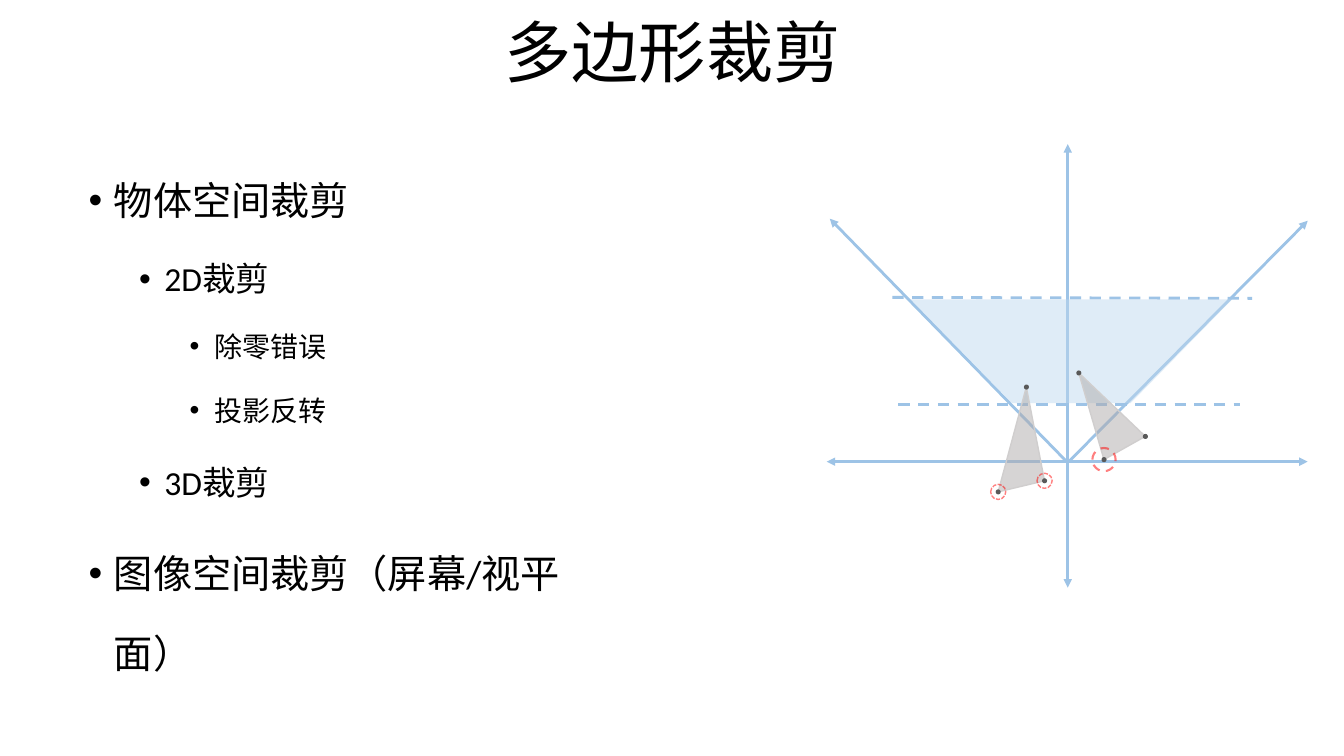
from dataclasses import dataclass

from lxml import etree
from pptx import Presentation
from pptx.dml.color import RGBColor
from pptx.enum.dml import MSO_LINE
from pptx.enum.shapes import MSO_CONNECTOR, MSO_SHAPE
from pptx.enum.text import MSO_ANCHOR, MSO_AUTO_SIZE, PP_ALIGN
from pptx.oxml.ns import qn
from pptx.util import Inches, Pt


@dataclass(frozen=True)
class Theme:
    font: str = "Calibri"
    text: str = "000000"
    axis: str = "9DC3E6"
    frustum: str = "BDD7EE"
    triangle: str = "AFABAB"
    edge: str = "D0CECE"
    vertex: str = "595959"
    warning: str = "FF0000"
    title_size: int = 48
    list_sizes: tuple = (28, 24, 20)


def add_text(para, text, *, font, size, color):
    span = para.add_run()
    span.text = text
    span.font.name = font
    span.font.size = Pt(size)
    span.font.color.rgb = RGBColor.from_string(color)


def add_child(parent, tag, **attributes):
    return etree.SubElement(parent, qn(tag), attributes)


class ClippingPage:
    def __init__(self, deck, theme):
        self.theme = theme
        self.page = deck.slides.add_slide(deck.slide_layouts[1])

    def place(self, box, left, top, width, height, anchor):
        box.left, box.top = Inches(left), Inches(top)
        box.width, box.height = Inches(width), Inches(height)
        frame = box.text_frame
        frame.word_wrap = True
        frame.auto_size = MSO_AUTO_SIZE.NONE
        frame.vertical_anchor = anchor
        return frame

    def title(self, text, *area):
        para = self.place(self.page.shapes.title, *area, MSO_ANCHOR.BOTTOM).paragraphs[0]
        para.alignment = PP_ALIGN.CENTER
        para.line_spacing = 0.9
        add_text(para, text, font=self.theme.font, size=self.theme.title_size,
                 color=self.theme.text)

    def bullets(self, items, *area):
        frame = self.place(self.page.placeholders[1], *area, MSO_ANCHOR.TOP)
        for index, (level, text) in enumerate(items):
            para = frame.add_paragraph() if index else frame.paragraphs[0]
            para.level = level
            para.line_spacing = 1.7
            para.space_before = Pt(0 if index == 0 else 5 if level else 10)
            props = para._p.get_or_add_pPr()
            props.set("marL", str(Inches(0.25 + 0.5 * level)))
            props.set("indent", str(Inches(-0.25)))
            add_child(props, "a:buFont", typeface="Arial")
            add_child(props, "a:buChar", char="•")
            add_text(para, text, font=self.theme.font,
                     size=self.theme.list_sizes[level], color=self.theme.text)

    def line(self, start, end, *, head=False, tail=False, dash=None):
        link = self.page.shapes.add_connector(
            MSO_CONNECTOR.STRAIGHT, *map(Inches, start + end))
        link.line.color.rgb = RGBColor.from_string(self.theme.axis)
        link.line.width = Pt(2)
        if dash:
            link.line.dash_style = dash
        outline = link.line._get_or_add_ln()
        for tag, wanted in (("a:headEnd", head), ("a:tailEnd", tail)):
            if wanted:
                add_child(outline, tag, type="triangle")
        add_child(link._element.spPr, "a:effectLst")

    def paint(self, shape, *, fill=None, line=None, width=1, dash=None, opacity=100):
        """Opacity applies to the fill, or to the line of an unfilled shape."""
        shape.shadow.inherit = False
        if fill:
            shape.fill.solid()
            shape.fill.fore_color.rgb = RGBColor.from_string(fill)
        else:
            shape.fill.background()
        if line:
            shape.line.color.rgb = RGBColor.from_string(line)
            shape.line.width = Pt(width)
            if dash:
                shape.line.dash_style = dash
        else:
            shape.line.fill.background()
        if opacity < 100:
            color = next(shape._element.spPr.iter(qn("a:srgbClr")))
            add_child(color, "a:alpha", val=str(opacity * 1000))

    def frustum(self, left, top, width, height):
        shape = self.page.shapes.add_shape(
            MSO_SHAPE.TRAPEZOID, *map(Inches, (left, top, width, height)))
        shape.adjustments[0] = 0.978
        shape.rotation = 180
        self.paint(shape, fill=self.theme.frustum, opacity=47)

    def circle(self, center, size, shapes=None, **style):
        shapes = self.page.shapes if shapes is None else shapes
        left, top = (Inches(value - size / 2) for value in center)
        shape = shapes.add_shape(MSO_SHAPE.FLOWCHART_CONNECTOR, left, top,
                                 Inches(size), Inches(size))
        self.paint(shape, **style)

    def triangle(self, corners):
        shapes = self.page.shapes.add_group_shape().shapes
        points = [(Inches(x), Inches(y)) for x, y in corners]
        builder = shapes.build_freeform(*points[0], scale=1.0)
        builder.add_line_segments(points[1:], close=True)
        self.paint(builder.convert_to_shape(), fill=self.theme.triangle,
                   line=self.theme.edge, opacity=50)
        for corner in corners:
            self.circle(corner, 0.05, shapes, fill=self.theme.vertex)

    def ring(self, center, size, width, dash):
        self.circle(center, size, line=self.theme.warning, width=width,
                    dash=dash, opacity=50)


def main():
    deck = Presentation()
    deck.slide_width, deck.slide_height = Inches(13.33), Inches(7.5)
    page = ClippingPage(deck, Theme())

    # Title and list
    page.title("多边形裁剪", 0.92, 0, 11.5, 0.96)
    page.bullets([
        (0, "物体空间裁剪"),
        (1, "2D裁剪"),
        (2, "除零错误"),
        (2, "投影反转"),
        (1, "3D裁剪"),
        (0, "图像空间裁剪（屏幕/视平面）"),
    ], 0.78, 1.37, 5.4, 5.39)

    # Axes and view rays
    page.line((8.2, 4.58), (12.97, 4.58), head=True, tail=True)
    page.line((10.59, 1.43), (10.59, 5.83), head=True, tail=True)
    page.line((12.97, 2.19), (10.6, 4.58), head=True)
    page.line((8.23, 2.17), (10.57, 4.57), head=True)

    # Near and far planes with the visible region
    page.line((8.91, 4.01), (12.3, 4.01), dash=MSO_LINE.DASH)
    page.line((8.85, 2.95), (12.42, 2.96), dash=MSO_LINE.DASH)
    page.frustum(9.03, 2.97, 3.19, 1.03)

    # Triangles, with rings on the vertices that cause trouble
    right = [(10.95, 4.56), (10.7, 3.7), (11.36, 4.33)]
    page.triangle(right)
    page.ring(right[0], 0.23, 1.5, MSO_LINE.DASH)
    left = [(9.9, 4.88), (10.18, 3.84), (10.36, 4.77)]
    page.triangle(left)
    for corner in (left[0], left[2]):
        page.ring(corner, 0.15, 1, MSO_LINE.SQUARE_DOT)

    deck.save("out.pptx")


if __name__ == "__main__":
    main()
